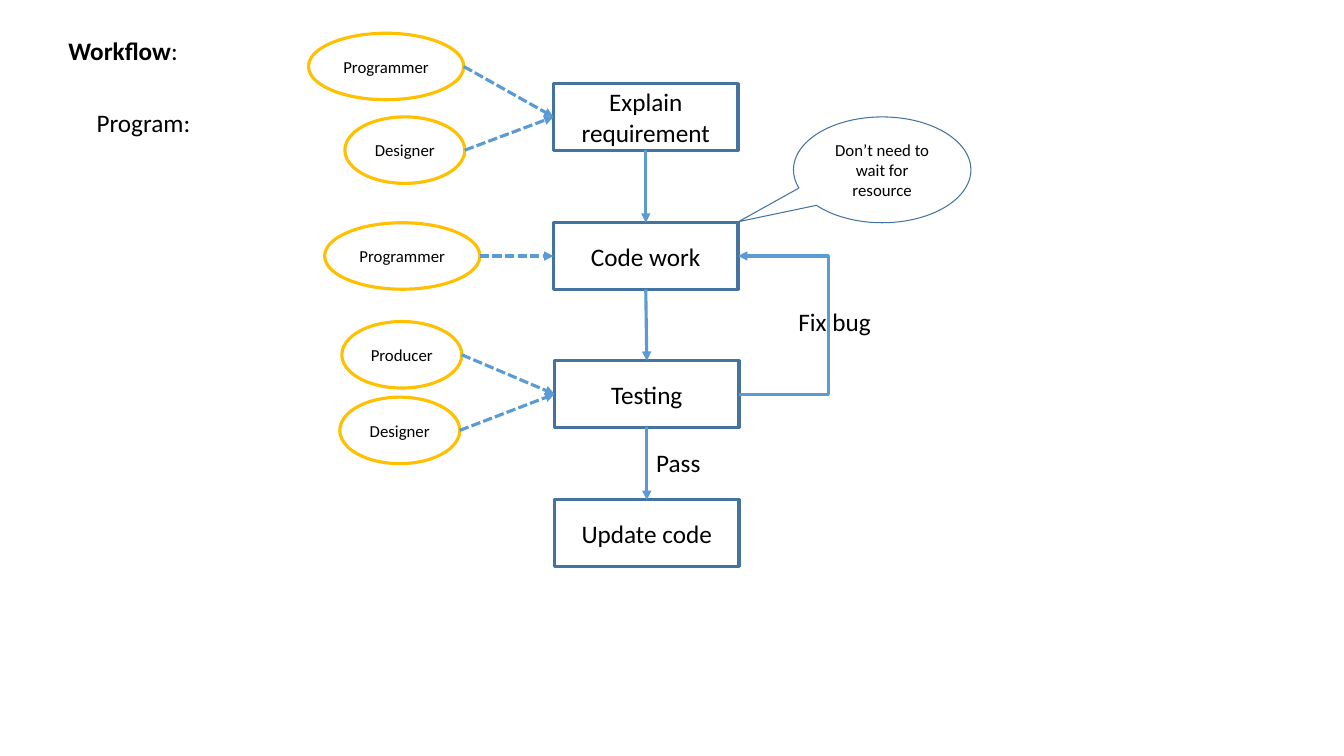
from lxml.etree import SubElement
from pptx import Presentation
from pptx.dml.color import RGBColor
from pptx.enum.dml import MSO_LINE as Dash
from pptx.enum.shapes import MSO_CONNECTOR as Link, MSO_SHAPE as Shape
from pptx.enum.text import MSO_ANCHOR as Anchor, MSO_AUTO_SIZE as Fit, PP_ALIGN as Align
from pptx.oxml.ns import qn
from pptx.util import Pt

PX = 9144
BLACK = RGBColor(0x00, 0x00, 0x00)
WHITE = RGBColor(0xFF, 0xFF, 0xFF)
NAVY = RGBColor(0x43, 0x73, 0x9E)
BLUE = RGBColor(0x5B, 0x9B, 0xD5)
GOLD = RGBColor(0xFF, 0xC0, 0x00)
TOP, LEFT, BOTTOM, RIGHT = range(4)


def write(frame, text, size=18, bold=False, align=Align.LEFT):
    """Add a run of text to the first paragraph of a frame."""
    para = frame.paragraphs[0]
    para.alignment = align
    run = para.add_run()
    run.text = text
    run.font.name = "Calibri"
    run.font.size = Pt(size)
    run.font.bold = bold
    run.font.color.rgb = BLACK


class Chart:
    """Draw flow chart parts on one slide, with lengths in px."""

    def __init__(self, slide):
        """Keep the slide to draw on."""
        self.shapes = slide.shapes

    def label(self, x, y, wide, *parts):
        """Add a text box made of (text, bold) parts."""
        box = self.shapes.add_textbox(x * PX, y * PX, wide * PX, 40 * PX)
        frame = box.text_frame
        frame.word_wrap = True
        frame.auto_size = Fit.SHAPE_TO_FIT_TEXT
        for text, bold in parts:
            write(frame, text, bold=bold)

    def node(self, kind, text, x, y, wide, high=66, size=18, color=NAVY, width=2.25):
        """Add an outlined shape with centred text."""
        shape = self.shapes.add_shape(kind, x * PX, y * PX, wide * PX, high * PX)
        shape.shadow.inherit = False
        shape.fill.solid()
        shape.fill.fore_color.rgb = WHITE
        shape.line.color.rgb = color
        shape.line.width = Pt(width)
        shape.text_frame.word_wrap = True
        shape.text_frame.vertical_anchor = Anchor.MIDDLE
        write(shape.text_frame, text, size=size, align=Align.CENTER)
        return shape

    def arrow(self, kind=Link.STRAIGHT, start=(0, 0), dash=None):
        """Add a connector with an arrowhead at its end."""
        x, y = start
        line = self.shapes.add_connector(kind, x, y, x, y)
        line.line.color.rgb = BLUE
        line.line.width = Pt(2.25)
        if dash:
            line.line.dash_style = dash
        props = line._element.spPr
        SubElement(props.find(qn("a:ln")), qn("a:tailEnd"), type="triangle")
        SubElement(props, qn("a:effectLst"))
        return line

    def flow(self, first, last):
        """Join one step to the step below it."""
        line = self.arrow()
        line.begin_connect(first, BOTTOM)
        line.end_connect(last, TOP)

    def role(self, text, x, y, wide, step):
        """Add a role and its dashed arrow to a step."""
        oval = self.node(Shape.OVAL, text, x, y, wide, size=12, color=GOLD)
        start = oval.left + oval.width, oval.top + oval.height // 2
        line = self.arrow(start=start, dash=Dash.SQUARE_DOT)
        line.end_connect(step, LEFT)

    def loop(self, first, last, reach):
        """Join the right sides of two steps by a bent arrow."""
        line = self.arrow(Link.ELBOW)
        line.begin_connect(first, RIGHT)
        line.end_connect(last, RIGHT)
        bend = -round(reach * PX / line.width * 100000)
        guides = line._element.spPr.find(qn("a:prstGeom")).find(qn("a:avLst"))
        SubElement(guides, qn("a:gd"), name="adj1", fmla=f"val {bend}")

    def bubble(self, text, x, y, wide, high, tip):
        """Add a speech bubble with its tip set by shares of its size."""
        shape = self.node(Shape.OVAL_CALLOUT, text, x, y, wide, high, size=12, width=0.75)
        shape.adjustments[0], shape.adjustments[1] = tip


def main():
    """Build and save the workflow slide."""
    deck = Presentation()
    deck.slide_width, deck.slide_height = 1333 * PX, 750 * PX
    chart = Chart(deck.slides.add_slide(deck.slide_layouts[6]))

    names = ("Explain requirement", 549), ("Code work", 549), ("Testing", 550), ("Update code", 550)
    steps = [
        chart.node(Shape.RECTANGLE, text, x, round(83 + row * 137.67), 183)
        for row, (text, x) in enumerate(names)
    ]
    for first, last in zip(steps, steps[1:]):
        chart.flow(first, last)
    brief, code, test, _ = steps
    chart.loop(test, code, 90)

    for text, x, y, wide, step in (
        ("Programmer", 306, 33, 154, brief),
        ("Designer", 342, 116, 119, brief),
        ("Programmer", 322, 221, 154, code),
        ("Producer", 339, 319, 119, test),
        ("Designer", 337, 394, 119, test),
    ):
        chart.role(text, x, y, wide, step)

    chart.label(58, 30, 168, ("Workflow", True), (":", False))
    chart.label(86, 102, 137, ("Program:", False))
    chart.label(641, 439, 119, ("Pass", False))
    chart.label(782, 299, 119, ("Fix bug", False))
    chart.bubble("Don’t need to wait for resource", 787, 116, 176, 105, (-0.81, 0.49))
    deck.save("out.pptx")


if __name__ == "__main__":
    main()
